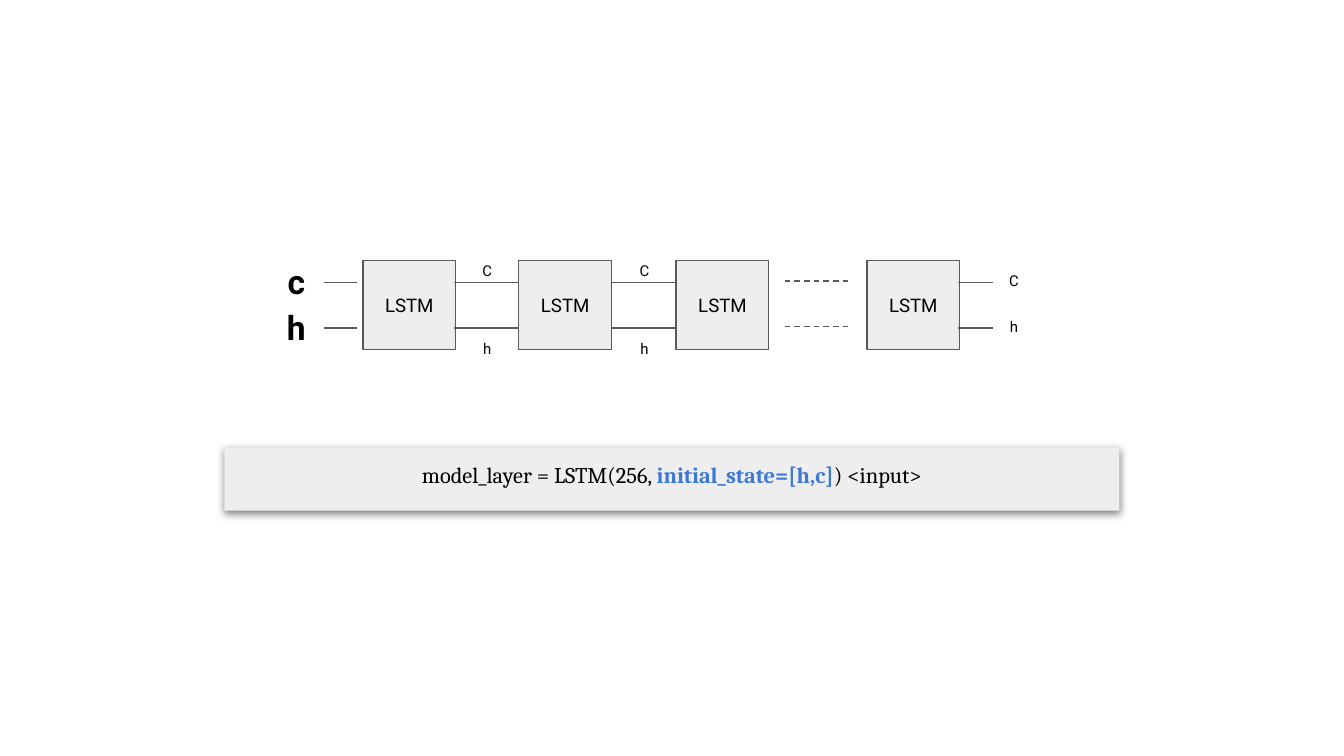
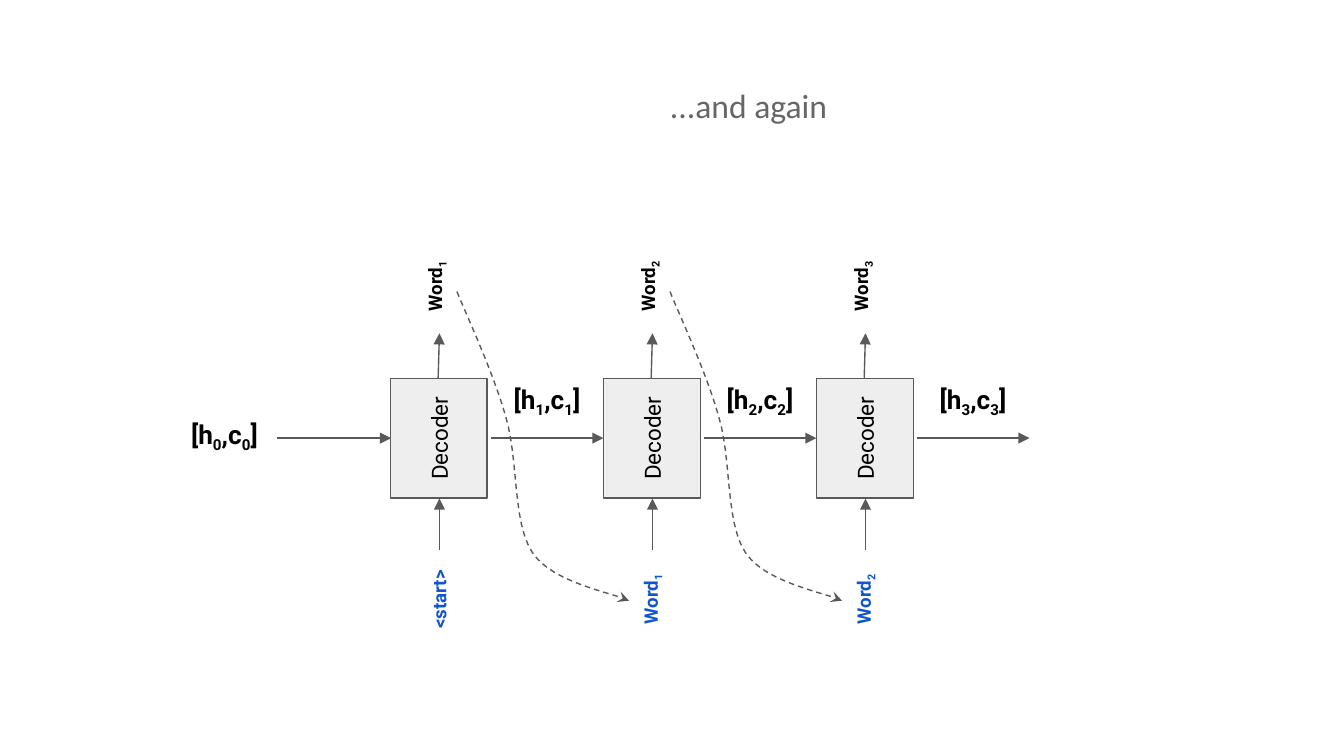
from lxml import etree
from pptx import Presentation
from pptx.dml.color import RGBColor
from pptx.enum.dml import MSO_LINE
from pptx.enum.shapes import MSO_CONNECTOR, MSO_SHAPE
from pptx.enum.text import MSO_ANCHOR, PP_ALIGN
from pptx.oxml.ns import qn
from pptx.util import Inches, Pt

RECT = MSO_SHAPE.RECTANGLE
STRAIGHT = MSO_CONNECTOR.STRAIGHT
DASH = MSO_LINE.DASH
TOP, MIDDLE = MSO_ANCHOR.TOP, MSO_ANCHOR.MIDDLE
CENTER = PP_ALIGN.CENTER

COLORS = {"ink": "000000", "line": "595959", "box": "EEEEEE",
          "state": "3C78D8", "word": "1155CC", "title": "666666"}


def color(name):
    return RGBColor.from_string(COLORS[name])


def sub(text):
    return text, {"sub": True}


def state(num):
    return ["[h", sub(num), ",c", sub(num), "]"]


def bezier(p, q, r, s, steps=12):
    """Points on a cubic curve, without its first point."""
    for i in range(1, steps + 1):
        t = i / steps
        u = 1 - t
        yield tuple(u**3 * a + 3 * u * u * t * b + 3 * u * t * t * c + t**3 * d
                    for a, b, c, d in zip(p, q, r, s))


class Deck:
    def __init__(self):
        self.prs = Presentation()
        self.prs.slide_width = Inches(10)
        self.prs.slide_height = Inches(10 * 9 / 16)
        self.shapes = None

    def add_slide(self):
        self.shapes = self.prs.slides.add_slide(self.prs.slide_layouts[6]).shapes

    def set_text(self, shape, parts, size, font="Roboto", ink="ink", bold=False, anchor=MIDDLE):
        """Fill a shape with one centred line; a part is text or (text, style)."""
        frame = shape.text_frame
        frame.word_wrap = True
        frame.vertical_anchor = anchor
        frame.margin_left = frame.margin_right = Inches(0.1)
        frame.margin_top = frame.margin_bottom = Inches(0.1)
        para = frame.paragraphs[0]
        para.alignment = CENTER
        for part in parts:
            text, style = (part, {}) if isinstance(part, str) else part
            run = para.add_run()
            run.text = text
            run.font.name = font
            run.font.size = Pt(size)
            run.font.bold = style.get("bold", bold)
            run.font.color.rgb = color(style.get("ink", ink))
            if style.get("sub"):
                run.font._element.set("baseline", "-25000")

    def label(self, x, y, w, h, parts, size, turn=0, **style):
        box = self.shapes.add_textbox(*map(Inches, (x, y, w, h)))
        box.rotation = turn
        self.set_text(box, parts, size, **style)

    def box(self, x, y, w, h, parts, size, turn=0, edge=True, **style):
        shape = self.shapes.add_shape(RECT, *map(Inches, (x, y, w, h)))
        shape.rotation = turn
        shape.shadow.inherit = False
        shape.fill.solid()
        shape.fill.fore_color.rgb = color("box")
        if edge:
            self.stroke(shape)
        else:
            shape.line.fill.background()
        self.set_text(shape, parts, size, **style)
        return shape

    def stroke(self, shape, dash=False, head=None):
        shape.line.color.rgb = color("line")
        shape.line.width = Pt(0.75)
        if dash:
            shape.line.dash_style = DASH
        if head:
            line = shape.element.spPr.find(qn("a:ln"))
            etree.SubElement(line, qn("a:tailEnd"), type=head)

    def wire(self, x1, y1, x2, y2, **style):
        line = self.shapes.add_connector(STRAIGHT, *map(Inches, (x1, y1, x2, y2)))
        self.stroke(line, **style)
        etree.SubElement(line.element.spPr, qn("a:effectLst"))

    def arrow(self, *ends):
        self.wire(*ends, head="triangle")

    def curve(self, points):
        """Dashed arrow through a chain of cubic curves."""
        dots = [dot for i in range(0, len(points) - 1, 3)
                for dot in bezier(*points[i:i + 4])]
        pen = self.shapes.build_freeform(*map(Inches, points[0]))
        pen.add_line_segments([tuple(map(Inches, dot)) for dot in dots], close=False)
        shape = pen.convert_to_shape()
        shape.shadow.inherit = False
        shape.fill.background()
        self.stroke(shape, dash=True, head="stealth")

    def cast(self, shape):
        """Give a shape a soft shadow below it."""
        effects = shape.element.spPr.find(qn("a:effectLst"))
        shade = etree.SubElement(effects, qn("a:outerShdw"), blurRad=str(Pt(4.5)),
                                 dist=str(Pt(1.5)), dir="5400000", algn="bl", rotWithShape="0")
        tint = etree.SubElement(shade, qn("a:srgbClr"), val=COLORS["ink"])
        etree.SubElement(tint, qn("a:alpha"), val="50000")


def lstm_slide(deck):
    deck.add_slide()
    cells = (2.7, 3.86, 5.03, 6.45)
    rows = (2.1, 2.44)
    size = (0.41, 0.18)
    for x in cells:
        deck.box(x, 1.94, 0.69, 0.66, ["LSTM"], 10)
    for x in cells[1:3]:
        for name, y in (("C", 1.92), ("h", 2.5)):
            deck.label(x - 0.44, y, *size, [name], 8)
    for y, first, last in zip(rows, "ch", "Ch"):
        deck.label(2, y - 0.1, *size, [first], 18, bold=True)
        deck.label(7.34, y - 0.1, *size, [last], 8)
        for x1, x2 in ((2.41, 2.66), (3.38, 3.86), (4.55, 5.03), (7.13, 7.39)):
            deck.wire(x1, y, x2, y)
        deck.wire(5.84, y - 0.01, 6.32, y - 0.01, dash=True)
    code = ["model_layer = LSTM(256, ",
            ("initial_state=[h,c]", {"ink": "state", "bold": True}), ") <input>"]
    deck.cast(deck.box(1.67, 3.33, 6.66, 0.47, code, 12, edge=False,
                       font="Cambria", anchor=TOP))


def decoder_slide(deck):
    deck.add_slide()
    deck.label(3.68, 0.53, 3.78, 0.65, ["...and again"], 18,
               font="Calibri", ink="title", anchor=TOP)
    deck.label(1.25, 3.01, 0.84, 0.51, state("0"), 14, bold=True, anchor=TOP)
    deck.arrow(2.06, 3.26, 2.91, 3.26)
    pitch = (5.99 - 2.82) / 2
    loop = ((3.4, 2.17), (3.46, 2.32), (3.67, 2.77), (3.76, 3.09), (3.86, 3.41),
            (3.81, 3.88), (3.96, 4.11), (4.11, 4.34), (4.56, 4.41), (4.68, 4.47))
    feed = ["<start>"]
    for i in range(3):
        dx = i * pitch
        num = str(i + 1)
        word = ["Word", sub(num)]
        deck.box(2.82 + dx, 2.9, 0.89, 0.72, ["Decoder"], 12, turn=270)
        deck.label(2.92 + dx, 2.01, 0.65, 0.24, word, 10, turn=270, bold=True)
        deck.label(2.89 + dx, 4.34, 0.75, 0.24, feed, 10, turn=270, bold=True, ink="word")
        deck.label(3.65 + dx, 2.75, 0.84, 0.51, state(num), 14, bold=True, anchor=TOP)
        deck.arrow(3.27 + dx, 4.09, 3.27 + dx, 3.71)
        deck.arrow(3.26 + dx, 2.82, 3.27 + dx, 2.48)
        deck.arrow(3.65 + dx, 3.26, 4.49 + dx, 3.26)
        if i < 2:
            deck.curve([(x + dx, y) for x, y in loop])
        feed = word


def main():
    deck = Deck()
    lstm_slide(deck)
    decoder_slide(deck)
    deck.prs.save("out.pptx")


if __name__ == "__main__":
    main()
